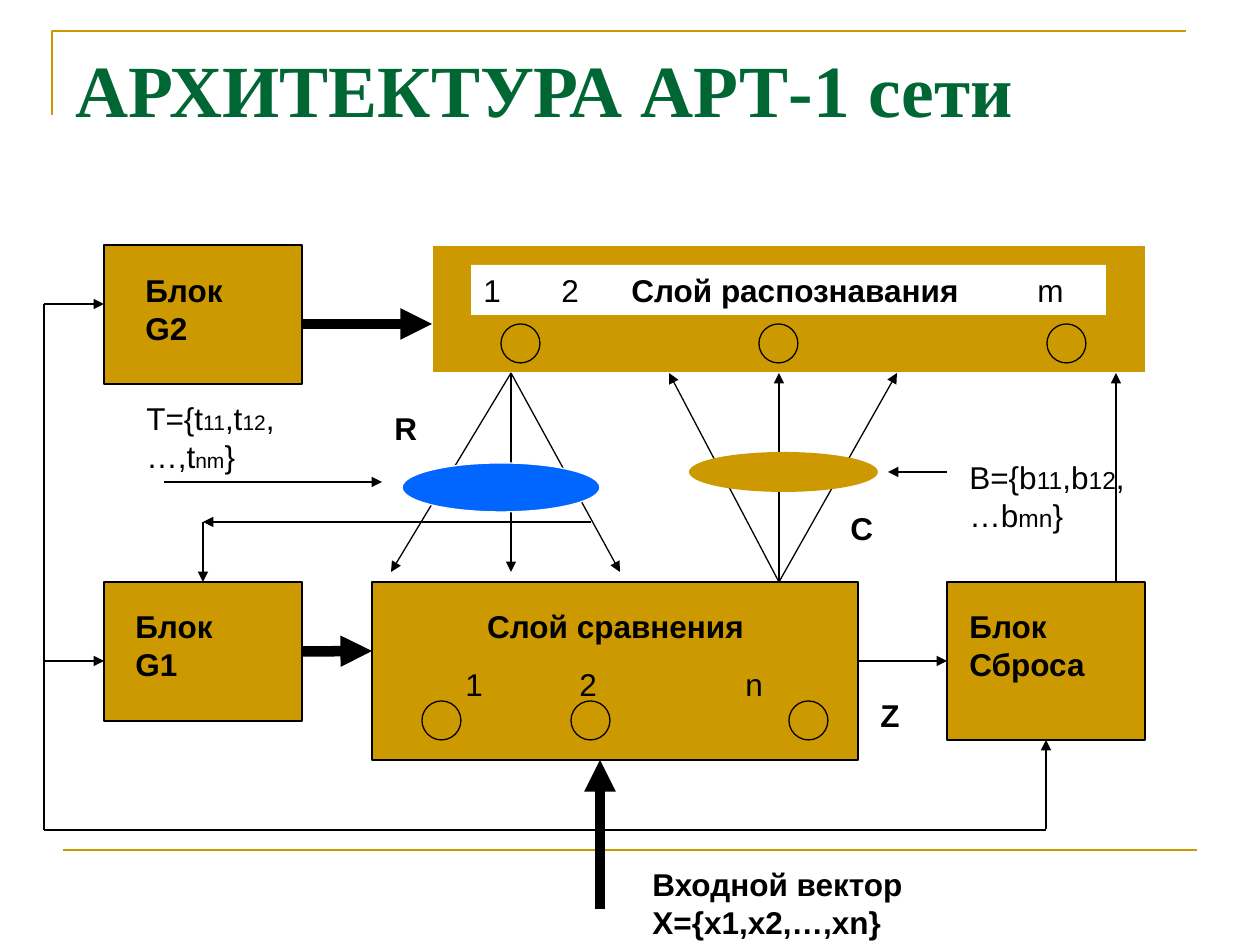
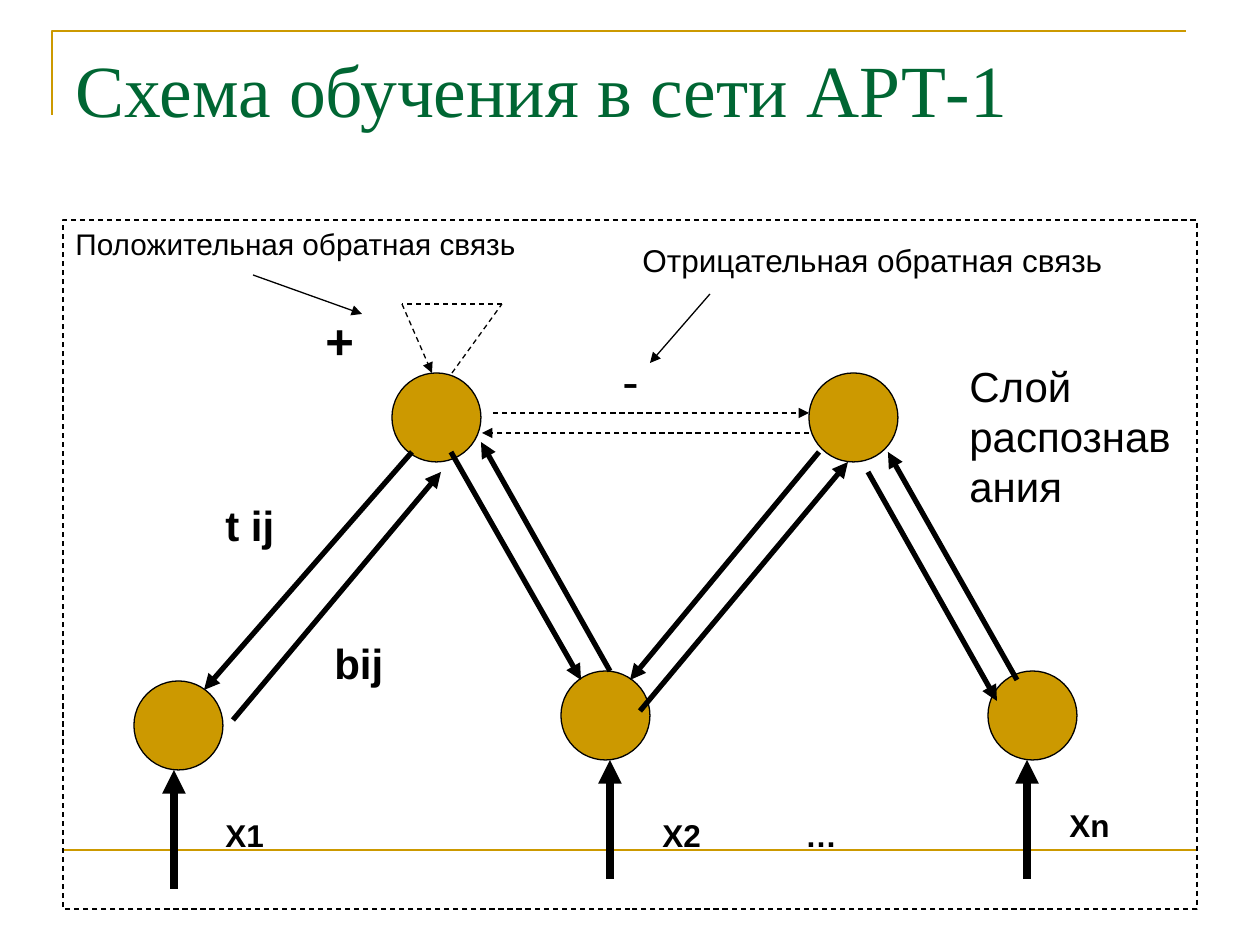
import pptx
import pptx.dml.color
import pptx.enum.dml
import pptx.enum.shapes
import pptx.enum.text
import pptx.oxml
import pptx.oxml.ns
import pptx.util
from lxml import etree

PX = 914400 / 126
COLORS = {"gold": "CC9900", "green": "006633", "blue": "0066FF",
          "black": "000000", "white": "FFFFFF"}
BODY = {"name": "Arial", "size": 18, "bold": False}
LABEL = {"name": "Arial", "size": 18, "bold": True}
BIG = {"name": "Arial", "size": 24, "bold": True}
TITLE = {"name": "Times New Roman", "size": 42}
RECT = pptx.enum.shapes.MSO_SHAPE.RECTANGLE
OVAL = pptx.enum.shapes.MSO_SHAPE.OVAL
TOP, LEFT, BOTTOM, RIGHT = range(4)


def emu(*lengths):
    """Turn px lengths into EMU."""
    return [round(v * PX) for v in lengths]


def rgb(name):
    """Look up a named colour."""
    return pptx.dml.color.RGBColor.from_string(COLORS[name])


def inside(box, x, y, w, h):
    """Offset a part by the corner of its box."""
    return box[0] + x, box[1] + y, w, h


def set_line(line, color, width, dash=False):
    """Colour an outline, or hide it when there is no colour."""
    if color is None:
        line.fill.background()
        return
    line.color.rgb = rgb(color)
    line.width = pptx.util.Pt(width)
    if dash:
        line.dash_style = pptx.enum.dml.MSO_LINE.DASH


def add_run(p, text, fmt, color="black"):
    """Append a run with the given font values."""
    r = p.add_run()
    r.text = text
    for key, value in fmt.items():
        setattr(r.font, key, pptx.util.Pt(value) if key == "size" else value)
    r.font.color.rgb = rgb(color)


def add_tabs(p, stops):
    """Add left tab stops to a paragraph."""
    tabs = etree.SubElement(p._p.get_or_add_pPr(), pptx.oxml.ns.qn("a:tabLst"))
    for stop in stops:
        etree.SubElement(tabs, pptx.oxml.ns.qn("a:tab"),
                         pos=str(emu(stop)[0]), algn="l")


def fill_text(tf, runs, tabs=()):
    """Write (text, format) runs into the first paragraph of a frame."""
    tf.word_wrap = True
    tf.vertical_anchor = pptx.enum.text.MSO_ANCHOR.TOP
    p = tf.paragraphs[0]
    p.alignment = pptx.enum.text.PP_ALIGN.LEFT
    if tabs:
        add_tabs(p, tabs)
    for text, fmt in runs:
        add_run(p, text, fmt)
    return p


def add_text(s, box, text, fmt=LABEL, tabs=()):
    """Add a wrapped text box holding a string or a list of runs."""
    tf = s.shapes.add_textbox(*emu(*box)).text_frame
    runs = [(text, fmt)] if isinstance(text, str) else text
    fill_text(tf, runs, tabs)
    return tf


def add_shape(s, kind, box, fill="gold", line="black", dash=False):
    """Add a flat preset shape."""
    sp = s.shapes.add_shape(kind, *emu(*box))
    sp.shadow.inherit = False
    if fill:
        sp.fill.solid()
        sp.fill.fore_color.rgb = rgb(fill)
    else:
        sp.fill.background()
    set_line(sp.line, line, 0.75, dash)
    return sp


def add_wire(s, start, end, width=0.75, head=True, dash=False,
             color="black", begin_at=None, end_at=None):
    """Add a straight connector, optionally joined to shape sides."""
    cx = s.shapes.add_connector(pptx.enum.shapes.MSO_CONNECTOR.STRAIGHT,
                                *emu(*start, *end))
    if begin_at:
        cx.begin_connect(*begin_at)
    if end_at:
        cx.end_connect(*end_at)
    set_line(cx.line, color, width, dash)
    spPr = cx.element.spPr
    if head:
        etree.SubElement(spPr.find(pptx.oxml.ns.qn("a:ln")),
                         pptx.oxml.ns.qn("a:tailEnd"), type="triangle")
    etree.SubElement(spPr, pptx.oxml.ns.qn("a:effectLst"))
    return cx


def new_slide(prs, title, bold):
    """Add a title-only slide with the corner frame and footer rule."""
    s = prs.slides.add_slide(prs.slide_layouts[5])
    sp = s.shapes.title
    sp.left, sp.top, sp.width, sp.height = emu(63, 38, 1134, 158)
    tf = sp.text_frame
    tf.auto_size = pptx.enum.text.MSO_AUTO_SIZE.NONE
    tf.vertical_anchor = pptx.enum.text.MSO_ANCHOR.TOP
    p = tf.paragraphs[0]
    p.alignment = pptx.enum.text.PP_ALIGN.LEFT
    add_run(p, title, {**TITLE, "bold": bold}, "green")
    fb = s.shapes.build_freeform(52, 115, scale=PX)
    fb.add_line_segments([(52, 31), (1186, 31)], close=False)
    corner = fb.convert_to_shape()
    corner.shadow.inherit = False
    corner.fill.background()
    set_line(corner.line, "gold", 1.5)
    add_wire(s, (63, 850), (1197, 850), 1.5, head=False, color="gold")
    return s


def add_block(s, box, text, text_box):
    """Draw a labelled block with its label placed inside."""
    sp = add_shape(s, RECT, box)
    add_text(s, inside(box, *text_box), text)
    return sp


def add_neurons(s, box, xs, y):
    """Draw a row of small neurons in a layer."""
    for x in xs:
        add_shape(s, OVAL, inside(box, x, y, 39, 39))


def add_recognition(s, box):
    """Draw the recognition layer."""
    add_shape(s, RECT, box, line="white")
    add_neurons(s, box, (69, 327, 615), 79)
    label = add_shape(s, RECT, inside(box, 39, 20, 635, 50), "white", None)
    runs = [("1\t2\t", BODY), ("Слой распознавания\t", LABEL), ("m", BODY)]
    fill_text(label.text_frame, runs, (78, 148, 554))


def add_comparison(s, box):
    """Draw the comparison layer."""
    add_shape(s, RECT, box)
    add_neurons(s, box, (50, 199, 417), 119)
    tf = add_text(s, inside(box, 40, 19, 407, 166), "Слой сравнения")
    tf.paragraphs[0].alignment = pptx.enum.text.PP_ALIGN.CENTER
    p = tf.add_paragraph()
    p.space_before = pptx.util.Pt(11.2)
    add_tabs(p, (41, 155, 321))
    add_run(p, "\t1\t2\tn", BODY)


def add_fan(s, box, apex, tip_y, tip_xs, lens, fill, line, label, label_at):
    """Draw three arrows from an apex through a weight lens."""
    x, y = box[:2]
    for tip_x in tip_xs:
        add_wire(s, (x + apex[0], y + apex[1]), (x + tip_x, y + tip_y))
    add_shape(s, OVAL, inside(box, *lens), fill, line)
    add_text(s, inside(box, *label_at, 69, 50), label)


def add_weights(s, box, parts, sub_size):
    """Write a weight set whose indices are smaller."""
    small = {**BODY, "size": sub_size}
    add_text(s, box, [(t, small if i % 2 else BODY) for i, t in enumerate(parts)])


def build_architecture(prs):
    """Build the network architecture slide."""
    s = new_slide(prs, "АРХИТЕКТУРА АРТ-1 сети", True)
    g2 = add_block(s, (104, 245, 198, 139), "Блок G2", (29, 20, 139, 88))
    g1 = add_block(s, (104, 582, 198, 139), "Блок G1", (19, 19, 129, 88))
    reset = add_block(s, (947, 582, 198, 158), "Блок Сброса", (10, 19, 159, 88))
    add_recognition(s, (432, 245, 714, 128))
    add_comparison(s, (372, 582, 486, 178))
    add_fan(s, (669, 373, 229, 209), (110, 209), 0, (228, 110, 0),
            (20, 79, 189, 40), "gold", None, "С", (169, 130))
    add_fan(s, (391, 373, 229, 199), (120, 0), 199, (0, 120, 229),
            (11, 90, 198, 49), "blue", "white", "R", (-9, 30))
    add_weights(s, (134, 393, 179, 88),
                ("T={t", "11", ",t", "12", ",…,t", "nm", "}"), 12)
    add_weights(s, (957, 452, 198, 88),
                ("B={b", "11", ",b", "12", ",…b", "mn", "}"), 14)
    add_text(s, (640, 859, 437, 88), "Входной вектор X={x1,x2,…,xn}")
    add_text(s, (868, 690, 59, 50), "Z")
    add_wire(s, (302, 324), (432, 324), 6)
    add_wire(s, (302, 651), (372, 651), 6, begin_at=(g1, RIGHT))
    add_wire(s, (600, 909), (600, 760), 6)
    add_wire(s, (858, 661), (947, 661), end_at=(reset, LEFT))
    add_wire(s, (1046, 829), (1046, 740), end_at=(reset, BOTTOM))
    add_wire(s, (203, 522), (203, 582), end_at=(g1, TOP))
    for start, end in [((1116, 582), (1116, 373)), ((44, 304), (104, 304)),
                       ((44, 661), (104, 661)), ((947, 472), (888, 472)),
                       ((164, 482), (382, 482)), ((591, 522), (203, 522))]:
        add_wire(s, start, end)
    for end in [(44, 304), (1046, 830)]:
        add_wire(s, (44, 830), end, head=False)


def add_feedback(s, box):
    """Draw the dashed feedback links around the upper neurons."""
    x, y = box[:2]
    for x1, y1, x2, y2, head in [(91, 109, 407, 109, True), (407, 129, 80, 129, True),
                                 (50, 69, 100, 0, False), (100, 0, 0, 0, False),
                                 (0, 0, 30, 69, True)]:
        add_wire(s, (x + x1, y + y1), (x + x2, y + y2), head=head, dash=True)
    for x1, y1, x2, y2 in [(308, -10, 248, 59), (-149, -29, -40, 10)]:
        add_wire(s, (x + x1, y + y1), (x + x2, y + y2))


def add_network(s, box):
    """Draw the neurons, their paired weights and the inputs."""
    x, y = box[:2]
    for left, top in [(258, 0), (675, 0), (0, 308), (427, 298), (854, 298)]:
        add_shape(s, OVAL, inside(box, left, top, 89, 89))
    for x1, y1, x2, y2 in [(278, 79, 70, 317), (99, 347, 307, 99),
                           (506, 338, 714, 89), (317, 79, 447, 307),
                           (476, 298, 347, 69), (883, 307, 754, 79),
                           (734, 99, 863, 328), (685, 79, 496, 307)]:
        add_wire(s, (x + x1, y + y1), (x + x2, y + y2), 3)
    for left, bottom in [(40, 516), (476, 506), (893, 506)]:
        add_wire(s, (x + left, y + bottom), (x + left, y + bottom - 119), 4.5)


def build_training(prs):
    """Build the training scheme slide."""
    s = new_slide(prs, "Схема обучения в сети АРТ-1", False)
    panel = add_shape(s, RECT, (63, 220, 1134, 689), None, dash=True)
    fill_text(panel.text_frame, [("Положительная обратная связь", {**BODY, "size": 17})])
    add_network(s, (134, 373, 943, 516))
    add_feedback(s, (402, 304, 407, 129))
    for box, text, fmt in [
            ((213, 810, 99, 50), "Х1", LABEL),
            ((1057, 800, 110, 50), "Хn", LABEL),
            ((322, 631, 149, 63), "bij", BIG),
            ((213, 493, 99, 63), "t ij", BIG),
            ((957, 354, 228, 164), "Слой распознавания", {**BIG, "bold": False}),
            ((313, 304, 68, 72), "+", {**BIG, "size": 28}),
            ((610, 344, 89, 72), "-", {**BODY, "size": 28}),
            ((630, 235, 536, 50), "Отрицательная обратная связь", BODY)]:
        add_text(s, box, text, fmt)
    add_text(s, (650, 810, 318, 50), "Х2\t…", LABEL, (143,))


def main():
    """Build and save the presentation."""
    prs = pptx.Presentation()
    prs.slide_width, prs.slide_height = emu(1260, 945)
    build_architecture(prs)
    build_training(prs)
    prs.save("out.pptx")


if __name__ == "__main__":
    main()
